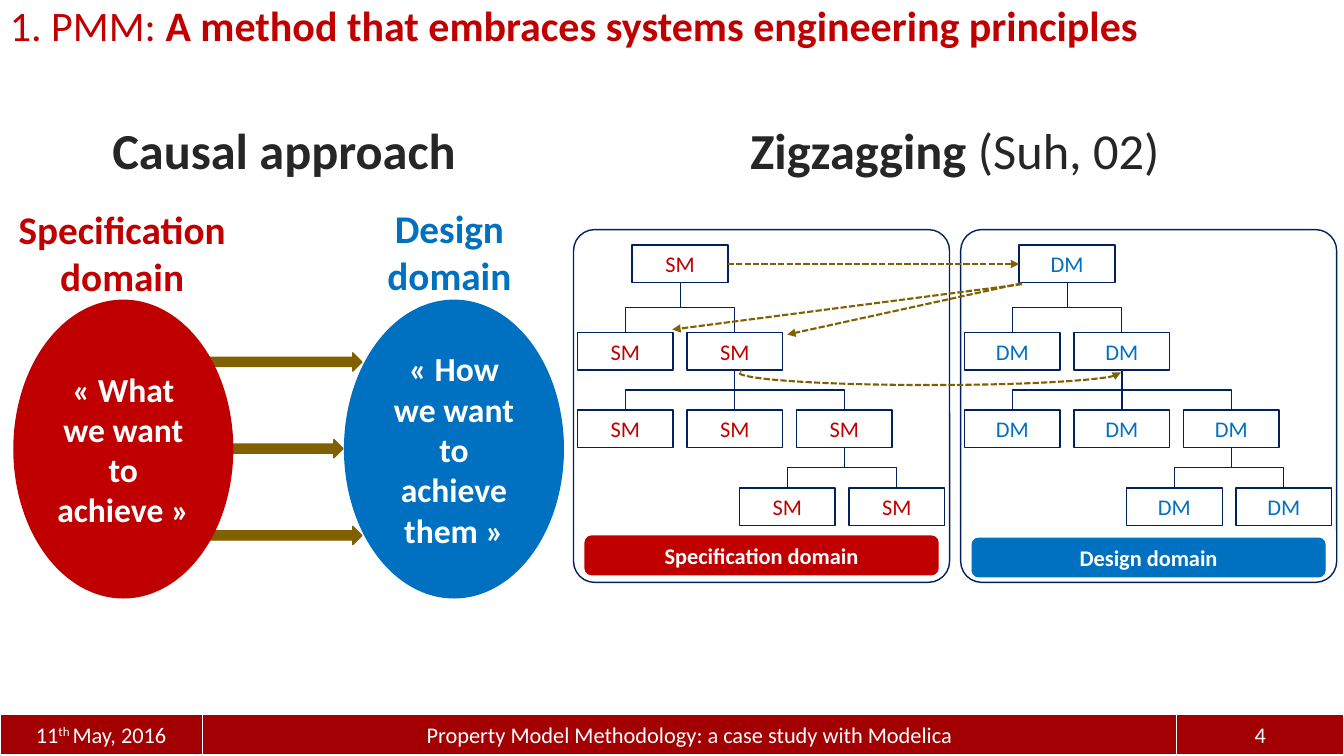
"""Build the slide on the causal approach and zigzagging between domains."""
from dataclasses import dataclass
from typing import Any, Optional

from lxml import etree
from pptx import Presentation
from pptx.dml.color import RGBColor
from pptx.enum.dml import MSO_LINE
from pptx.enum.shapes import MSO_CONNECTOR, MSO_SHAPE
from pptx.enum.text import MSO_ANCHOR, MSO_AUTO_SIZE, PP_ALIGN
from pptx.oxml.ns import qn
from pptx.util import Pt

RECTANGLE, ROUNDED = MSO_SHAPE.RECTANGLE, MSO_SHAPE.ROUNDED_RECTANGLE
OVAL, ARROW, ARC = MSO_SHAPE.OVAL, MSO_SHAPE.RIGHT_ARROW, MSO_SHAPE.ARC
STRAIGHT, ELBOW = MSO_CONNECTOR.STRAIGHT, MSO_CONNECTOR.ELBOW
DASHED = MSO_LINE.SQUARE_DOT
TOP, MIDDLE = MSO_ANCHOR.TOP, MSO_ANCHOR.MIDDLE
LEFT, CENTER = PP_ALIGN.LEFT, PP_ALIGN.CENTER
FIT_SHAPE = MSO_AUTO_SIZE.SHAPE_TO_FIT_TEXT

RED, BLUE, NAVY, OLIVE = "C00000", "0070C0", "002060", "806000"
WHITE, DARK, FOOTER_RED = "FFFFFF", "262626", "A20003"

Box = tuple[float, float, float, float]
Point = tuple[float, float]


@dataclass
class Run:
    text: str
    bold: bool = False
    baseline: int = 0


@dataclass
class Text:
    paragraphs: list[list[Run]]
    size: float
    color: str
    anchor: Any = MIDDLE
    align: Any = CENTER


@dataclass
class Outline:
    color: str
    width: float = 1
    dash: Any = None
    arrow_end: str = ""


@dataclass
class Domain:
    node: str
    title: str
    color: str
    shift: float
    title_top: float


NODE_WIDTH, NODE_HEIGHT, PITCH = 68.4, 26.8, 78.2
TREE_LEFT = 412.4
ROW_TOPS = [175, 237.6, 293, 348.5]
NODES = [(0.5, 0), (0, 1), (1, 1), (0, 2), (1, 2), (2, 2), (1.48, 3), (2.48, 3)]
BRANCHES = [(0, 1, 0.5), (0, 2, 0.5), (2, 3, 1), (2, 4, 1), (2, 5, 1), (5, 6, 0.5), (5, 7, 0.5)]
DOMAINS = [
    Domain("SM", "Specification domain", RED, 0, 383),
    Domain("DM", "Design domain", BLUE, 276.5, 384.5),
]
DASHED_OUTLINE = Outline(OLIVE, 1.5, DASHED, "tailEnd")
ZIGZAGS = [((519.8, 188.6), (728, 188.6)), ((730, 203), (480.2, 235.4)), ((730, 202.3), (562.3, 239))]
ARROWS = [(149, 252, 109.5, 13), (160.5, 314, 84.5, 13), (149, 376, 109.5, 13)]
OVALS = [
    ((10, 214.5, 156.2, 212.5), RED, "« What we want to achieve »"),
    ((246.2, 214.5, 156.2, 212.5), BLUE, "« How we want to achieve them »"),
]
HEADINGS = [
    ((409.7, 81.4, 545, 51), Text([[Run("Zigzagging", True), Run(" (Suh, 02)")]], 36, DARK, TOP)),
    ((13, 81.4, 380, 51), Text([[Run("Causal approach", True)]], 36, DARK, TOP)),
    ((2.2, 143.3, 170, 75), Text([[Run("Specification domain", True)]], 28, RED, TOP)),
    ((249, 142.6, 144, 75), Text([[Run("Design", True)], [Run("domain", True)]], 28, BLUE, TOP)),
]
FOOTER_WIDTHS = [144.5, 696, 119.5]
FOOTER_RUNS = [
    [Run("11"), Run("th ", baseline=30000), Run("May, 2016")],
    [Run("Property Model Methodology: a case study with Modelica")],
    [Run("4")],
]


def color_of(value: str) -> RGBColor:
    return RGBColor.from_string(value)


def apply(target: Any, values: dict[str, Any]) -> None:
    for name, value in values.items():
        setattr(target, name, value)


def write(shape: Any, text: Text) -> None:
    frame = shape.text_frame
    apply(frame, {"word_wrap": True, "vertical_anchor": text.anchor})
    for index, runs in enumerate(text.paragraphs):
        paragraph = frame.add_paragraph() if index else frame.paragraphs[0]
        paragraph.alignment = text.align
        for item in runs:
            run = paragraph.add_run()
            run.text = item.text
            apply(run.font, {"name": "Calibri", "size": Pt(text.size), "bold": item.bold})
            run.font.color.rgb = color_of(text.color)
            if item.baseline:
                run.font._element.set("baseline", str(item.baseline))


def draw_outline(shape: Any, outline: Outline) -> None:
    line = shape.line
    line.color.rgb = color_of(outline.color)
    apply(line, {"width": Pt(outline.width), "dash_style": outline.dash})
    if outline.arrow_end:
        end = etree.SubElement(line._get_or_add_ln(), qn(f"a:{outline.arrow_end}"))
        end.set("type", "triangle")


def add_shape(slide: Any, kind: Any, box: Box, outline: Outline,
              fill: Optional[str] = None, text: Optional[Text] = None) -> Any:
    shape = slide.shapes.add_shape(kind, *map(Pt, box))
    shape.shadow.inherit = False
    if fill:
        shape.fill.solid()
        shape.fill.fore_color.rgb = color_of(fill)
    else:
        shape.fill.background()
    draw_outline(shape, outline)
    if text:
        write(shape, text)
    return shape


def add_text(slide: Any, box: Box, text: Text) -> Any:
    shape = slide.shapes.add_textbox(*map(Pt, box))
    write(shape, text)
    return shape


def add_line(slide: Any, kind: Any, start: Point, end: Point, outline: Outline) -> Any:
    connector = slide.shapes.add_connector(kind, *map(Pt, start + end))
    etree.SubElement(connector._element.spPr, qn("a:effectLst"))
    draw_outline(connector, outline)
    return connector


def add_branch(slide: Any, start: Point, end: Point, width: float) -> None:
    outline = Outline(NAVY, width)
    if abs(start[0] - end[0]) < 1:
        add_line(slide, STRAIGHT, start, end, outline)
        return
    turn = 1 if end[0] < start[0] else -1
    center_x, center_y = (start[0] + end[0]) / 2, (start[1] + end[1]) / 2
    first, last = [(center_x + turn * (y - center_y), center_y - turn * (x - center_x))
                   for x, y in (start, end)]
    connector = add_line(slide, ELBOW, first, last, outline)
    connector._element.spPr.xfrm.set("rot", str(turn % 4 * 5400000))


def add_tree(slide: Any, domain: Domain) -> None:
    corners = [(TREE_LEFT + domain.shift + column * PITCH, ROW_TOPS[row]) for column, row in NODES]
    for left, top in corners:
        add_shape(slide, RECTANGLE, (left, top, NODE_WIDTH, NODE_HEIGHT), Outline(NAVY),
                  text=Text([[Run(domain.node)]], 16, domain.color))
    for parent, child, width in BRANCHES:
        (parent_left, parent_top), (child_left, child_top) = corners[parent], corners[child]
        add_branch(slide, (parent_left + NODE_WIDTH / 2, parent_top + NODE_HEIGHT),
                   (child_left + NODE_WIDTH / 2, child_top), width)
    frame = add_shape(slide, ROUNDED, (409.7 + domain.shift, 164, 268.6, 252), Outline(NAVY))
    frame.adjustments[0] = 0.06
    add_shape(slide, ROUNDED, (418 + domain.shift, domain.title_top, 252, 27.5),
              Outline(domain.color), domain.color, Text([[Run(domain.title, True)]], 16, WHITE))


def add_footer(slide: Any) -> None:
    table = slide.shapes.add_table(1, 3, Pt(0), Pt(510.5), Pt(960), Pt(29.5)).table
    left = 0.0
    for index, (width, runs) in enumerate(zip(FOOTER_WIDTHS, FOOTER_RUNS)):
        table.columns[index].width = Pt(width)
        cell = table.cell(0, index)
        for side, weight in {"lnL": 1, "lnR": 1, "lnT": 1, "lnB": 3}.items():
            border = etree.SubElement(cell._tc.get_or_add_tcPr(), qn(f"a:{side}"), w=str(Pt(weight)))
            solid = etree.SubElement(border, qn("a:solidFill"))
            etree.SubElement(solid, qn("a:srgbClr"), val=WHITE)
        cell.fill.solid()
        cell.fill.fore_color.rgb = color_of(FOOTER_RED)
        add_text(slide, (left, 512, width, 25.5), Text([runs], 16, WHITE))
        left += width


def main() -> None:
    presentation = Presentation()
    apply(presentation, {"slide_width": Pt(960), "slide_height": Pt(540)})
    slide = presentation.slides.add_slide(presentation.slide_layouts[6])
    add_footer(slide)
    title_runs = [Run("1. PMM: "), Run("A method that embraces systems engineering principles", True)]
    title = add_text(slide, (0, 0, 960, 42.5), Text([title_runs], 30, RED, TOP, LEFT))
    apply(title.text_frame.paragraphs[0], {"line_spacing": 0.9, "space_before": Pt(10)})
    for domain in DOMAINS:
        add_tree(slide, domain)
    for start, end in ZIGZAGS:
        add_line(slide, STRAIGHT, start, end, DASHED_OUTLINE)
    arc = add_shape(slide, ARC, (655.2, 129.6, 18, 272.9), Outline(OLIVE, 1.5, DASHED, "headEnd"))
    arc.rotation = 90
    arc.adjustments[0], arc.adjustments[1] = 162, 54.41
    for box in ARROWS:
        add_shape(slide, ARROW, box, Outline(OLIVE), OLIVE)
    for box, color, label in OVALS:
        add_shape(slide, OVAL, box, Outline(color), color, Text([[Run(label, True)]], 24, WHITE))
    for box, text in HEADINGS:
        add_text(slide, box, text).text_frame.auto_size = FIT_SHAPE
    presentation.save("out.pptx")


if __name__ == "__main__":
    main()
